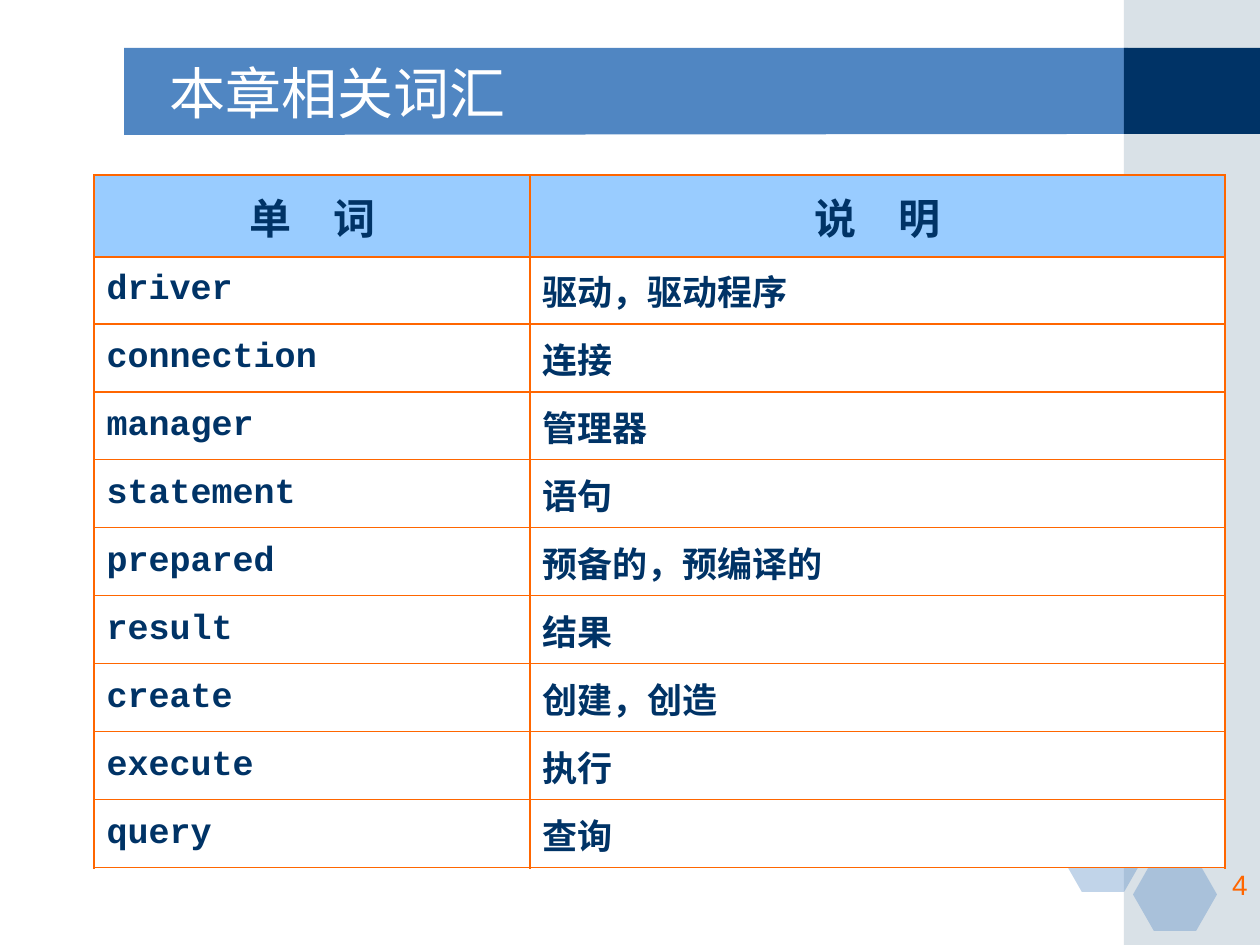
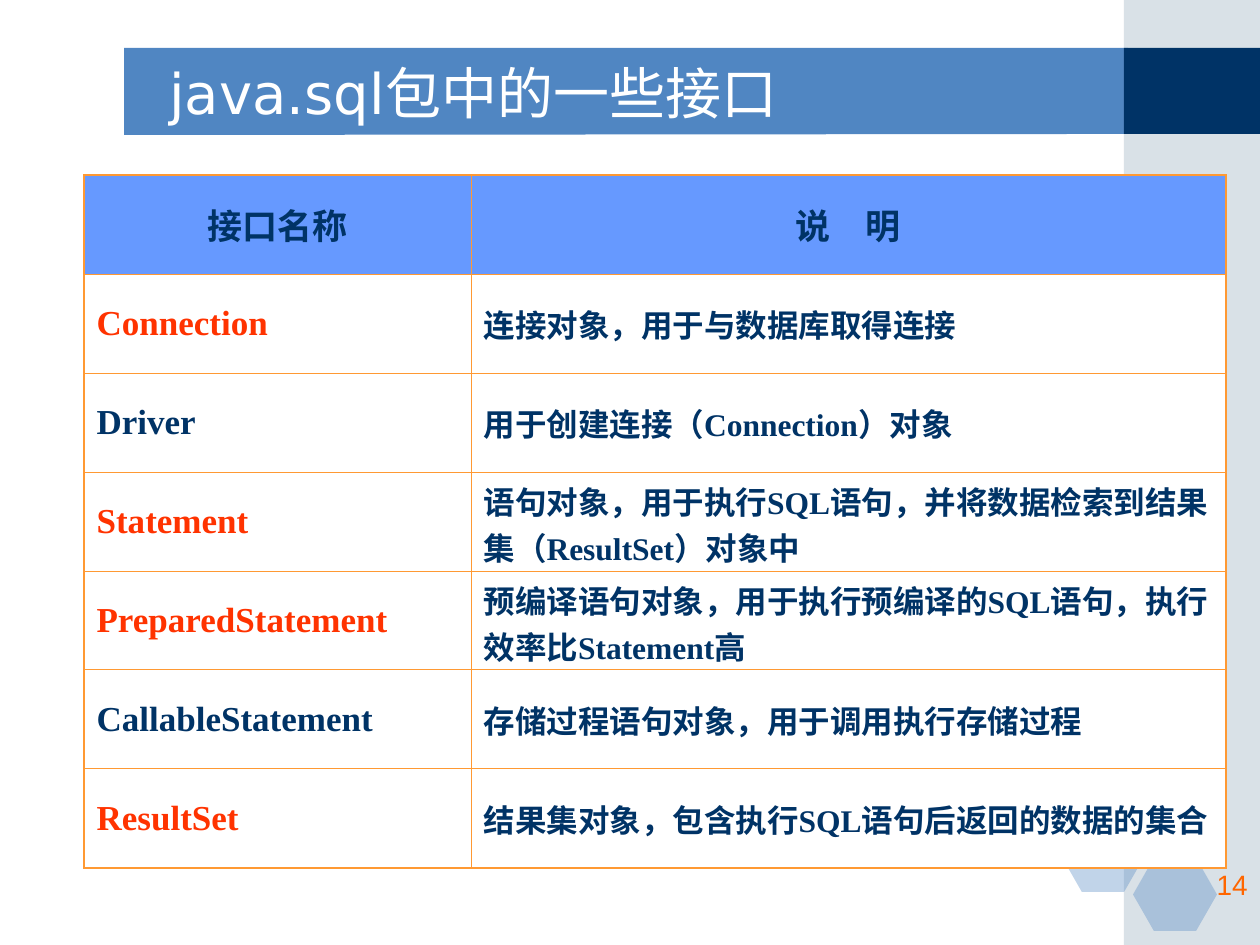
import dataclasses
import typing

import lxml.etree
import pptx
import pptx.dml.color
import pptx.enum.shapes
import pptx.enum.text
import pptx.oxml.ns
import pptx.util

SCALE = 914400 / 126  # EMU in one px
WIDE, HIGH = 1260, 945
SIDE = 1124
THICK = 1.08
HEX = {
    "white": "FFFFFF", "navy": "003366", "blue": "5086C2", "mist": "A0B5C4",
    "orange": "FF6600", "amber": "FF9933", "red": "FF3300",
    "sky": "99CCFF", "azure": "6699FF",
}
KINDS = pptx.enum.shapes.MSO_SHAPE
ALIGN = pptx.enum.text.PP_ALIGN
MIDDLE = pptx.enum.text.MSO_ANCHOR.MIDDLE


@dataclasses.dataclass(frozen=True)
class Box:
    left: int
    top: int
    width: int
    height: int


@dataclasses.dataclass(frozen=True)
class Style:
    font: str
    size: int
    color: str
    bold: bool = False
    align: ALIGN = ALIGN.LEFT


@dataclasses.dataclass(frozen=True)
class Block:
    kind: KINDS
    box: Box
    color: str
    alpha: int = 100


@dataclasses.dataclass(frozen=True)
class Row:
    term: str
    note: str
    hot: bool = False


@dataclasses.dataclass(frozen=True)
class Grid:
    left: int
    top: int
    cols: tuple[int, ...]
    rows: tuple[int, ...]
    line: str
    thin: float
    fill: str
    font: str
    sizes: tuple[int, int, int]  # head, term, note
    head: Row
    body: tuple[Row, ...]


@dataclasses.dataclass(frozen=True)
class Page:
    title: str
    number: int
    grid: Grid


TITLE = Style("DejaVu Sans", 32, "white")
NUMBER = Style("Arial", 16, "orange", align=ALIGN.RIGHT)
BAND = ((124, 48), (1128, 48), (1128, 134), (124, 135))
BLOCKS = (
    Block(KINDS.RECTANGLE, Box(SIDE, 0, WIDE - SIDE, HIGH), "mist", 40),
    Block(KINDS.RECTANGLE, Box(SIDE, 48, WIDE - SIDE, 86), "navy"),
    *(Block(KINDS.HEXAGON, Box(left, top, 84, 73), "blue", 35)
      for left, top in ((1061, 819), (1134, 777), (1133, 858))),
)

WORDS = Grid(
    94, 175, (436, 695), (82, 67) + (68,) * 8, "orange", 0.75, "sky",
    "Courier New", (24, 20, 20), Row("单　词", "说　明"),
    (
        Row("driver", "驱动，驱动程序"),
        Row("connection", "连接"),
        Row("manager", "管理器"),
        Row("statement", "语句"),
        Row("prepared", "预备的，预编译的"),
        Row("result", "结果"),
        Row("create", "创建，创造"),
        Row("execute", "执行"),
        Row("query", "查询"),
    ),
)
TYPES = Grid(
    84, 175, (387, 755), (99,) * 7, "amber", 0.45, "azure",
    "Times New Roman", (20, 20, 18), Row("接口名称", "说　明"),
    (
        Row("Connection", "连接对象，用于与数据库取得连接", True),
        Row("Driver", "用于创建连接（Connection）对象"),
        Row("Statement", "语句对象，用于执行SQL语句，并将数据检索到结果集（ResultSet）对象中", True),
        Row("PreparedStatement", "预编译语句对象，用于执行预编译的SQL语句，执行效率比Statement高", True),
        Row("CallableStatement", "存储过程语句对象，用于调用执行存储过程"),
        Row("ResultSet", "结果集对象，包含执行SQL语句后返回的数据的集合", True),
    ),
)
PAGES = (
    Page("本章相关词汇", 4, WORDS),
    Page("java.sql包中的一些接口", 14, TYPES),
)


def emu(px: int) -> pptx.util.Emu:
    return pptx.util.Emu(round(px * SCALE))


def place(box: Box) -> tuple[pptx.util.Emu, ...]:
    return tuple(emu(px) for px in dataclasses.astuple(box))


def tint(name: str) -> pptx.dml.color.RGBColor:
    return pptx.dml.color.RGBColor.from_string(HEX[name])


def add(node: typing.Any, tag: str, **attrs: str) -> typing.Any:
    return lxml.etree.SubElement(node, pptx.oxml.ns.qn(tag), attrs)


def paint(shape: typing.Any, color: str, alpha: int = 100) -> None:
    """Fill a shape flat, without line or shadow."""
    shape.shadow.inherit = False
    shape.line.fill.background()
    shape.fill.solid()
    shape.fill.fore_color.rgb = tint(color)
    if alpha < 100:
        tone = shape.fill._xPr.find(".//" + pptx.oxml.ns.qn("a:srgbClr"))
        add(tone, "a:alpha", val=str(alpha * 1000))


def write(frame: typing.Any, text: str, style: Style) -> None:
    para = frame.paragraphs[0]
    para.text = text
    para.alignment = style.align
    font = para.font
    font.name, font.bold = style.font, style.bold
    font.size = pptx.util.Pt(style.size)
    font.color.rgb = tint(style.color)


def label(slide: typing.Any, box: Box, text: str, style: Style) -> typing.Any:
    frame = slide.shapes.add_textbox(*place(box)).text_frame
    frame.word_wrap = True
    write(frame, text, style)
    return frame


def frame(slide: typing.Any) -> None:
    """Draw the band, side strip and hexagons that all slides share."""
    points = [(emu(x), emu(y)) for x, y in BAND]
    path = slide.shapes.build_freeform(*points[0])
    path.add_line_segments(points[1:], close=True)
    paint(path.convert_to_shape(), "blue")
    for block in BLOCKS:
        shape = slide.shapes.add_shape(block.kind, *place(block.box))
        if block.kind == KINDS.HEXAGON:
            shape.adjustments[0] = 0.286
        paint(shape, block.color, block.alpha)


def edge(cell: typing.Any, side: str, color: str, width: float) -> None:
    props = cell._tc.get_or_add_tcPr()
    line = add(props, f"a:ln{side}", w=str(pptx.util.Pt(width)))
    add(add(line, "a:solidFill"), "a:srgbClr", val=HEX[color])


def fill_cell(grid: Grid, cell: typing.Any, row: int, col: int) -> None:
    outer = {"L": col == 0, "R": col == len(grid.cols) - 1,
             "T": row == 0, "B": row == len(grid.rows) - 1}
    for side, thick in outer.items():
        edge(cell, side, grid.line, THICK if thick else grid.thin)
    cell.fill.solid()
    cell.fill.fore_color.rgb = tint("white" if row else grid.fill)
    cell.vertical_anchor = MIDDLE
    item = grid.body[row - 1] if row else grid.head
    style = Style(
        grid.font,
        grid.sizes[col + 1] if row else grid.sizes[0],
        "red" if item.hot and col == 0 else "navy",
        True,
        ALIGN.LEFT if row else ALIGN.CENTER,
    )
    write(cell.text_frame, (item.term, item.note)[col], style)


def draw_grid(slide: typing.Any, grid: Grid) -> None:
    box = Box(grid.left, grid.top, sum(grid.cols), sum(grid.rows))
    table = slide.shapes.add_table(
        len(grid.rows), len(grid.cols), *place(box)).table
    table.first_row = table.horz_banding = False
    for col, width in enumerate(grid.cols):
        table.columns[col].width = emu(width)
    for row, height in enumerate(grid.rows):
        table.rows[row].height = emu(height)
        for col in range(len(grid.cols)):
            fill_cell(grid, table.cell(row, col), row, col)


def main() -> None:
    deck = pptx.Presentation()
    deck.slide_width, deck.slide_height = emu(WIDE), emu(HIGH)
    for page in PAGES:
        slide = deck.slides.add_slide(deck.slide_layouts[6])
        frame(slide)
        title = label(slide, Box(157, 53, 924, 78), page.title, TITLE)
        title.vertical_anchor = MIDDLE
        label(slide, Box(998, 861, 262, 63), str(page.number), NUMBER)
        draw_grid(slide, page.grid)
    deck.save("out.pptx")


if __name__ == "__main__":
    main()
